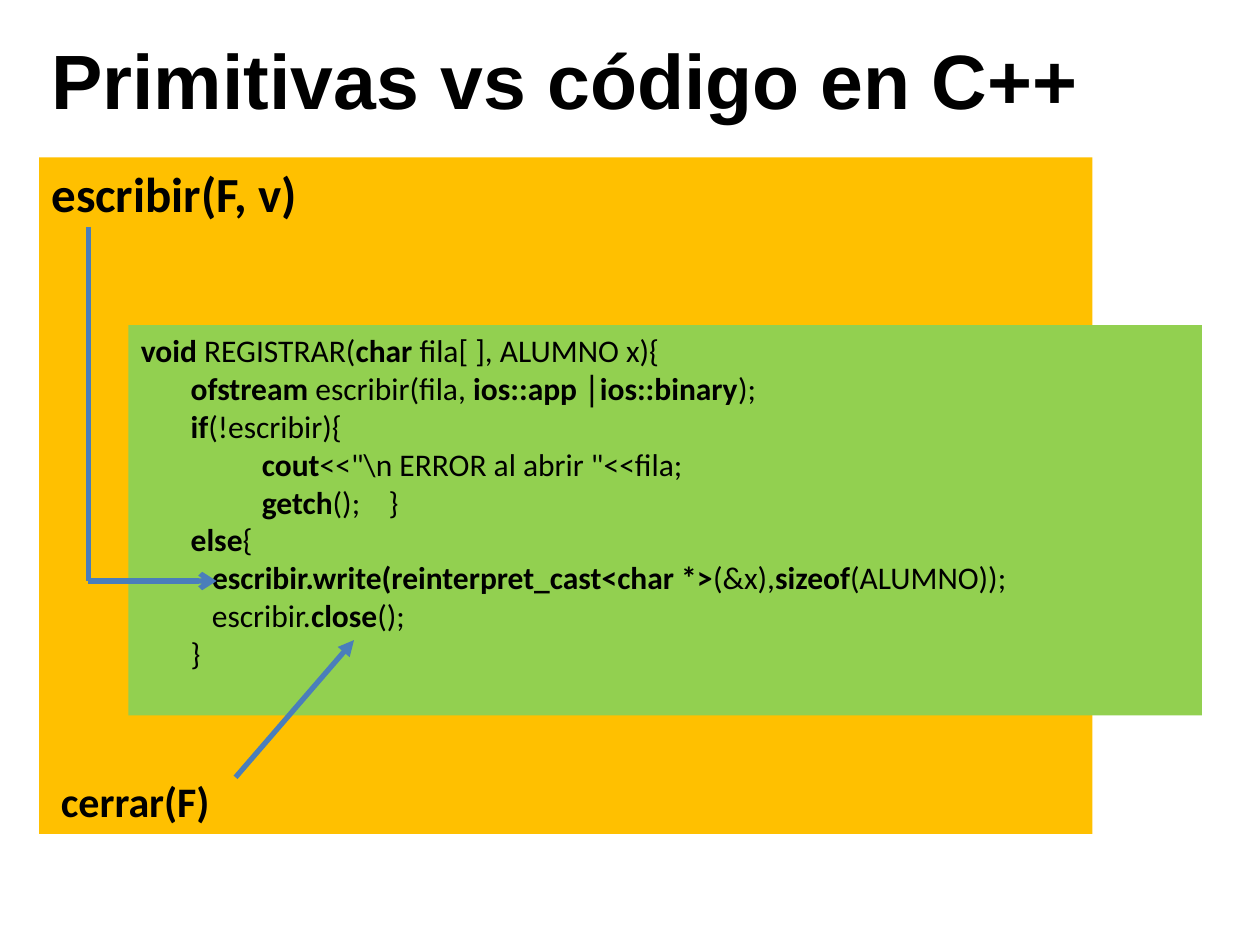
from dataclasses import dataclass

from lxml import etree
from pptx import Presentation
from pptx.dml.color import RGBColor
from pptx.enum.shapes import MSO_CONNECTOR, MSO_SHAPE
from pptx.enum.text import MSO_ANCHOR, PP_ALIGN
from pptx.oxml.ns import qn
from pptx.util import Pt

RECT = MSO_SHAPE.RECTANGLE
LINE = MSO_CONNECTOR.STRAIGHT
LEFT = PP_ALIGN.LEFT
TOP = MSO_ANCHOR.TOP
MIDDLE = MSO_ANCHOR.MIDDLE


@dataclass(frozen=True)
class Theme:
    """Colours, fonts and type sizes of the slide."""

    ink: str = "000000"
    amber: str = "FFC000"
    green: str = "92D050"
    blue: str = "4A7EBB"
    head: str = "Arial"
    body: str = "Calibri"
    title: int = 44
    call: int = 28
    close: int = 24
    code: int = 18
    stroke: int = 3


class Deck:
    """Draws styled elements on the current slide."""

    def __init__(self, theme, wide, high):
        """Open a deck with one blank slide."""
        self.theme = theme
        self.show = Presentation()
        self.show.slide_width, self.show.slide_height = Pt(wide), Pt(high)
        self.slide = self.show.slides.add_slide(self.show.slide_layouts[6])

    def frame(self, shape, anchor):
        """Set up wrapping and anchoring of a shape's text."""
        frame = shape.text_frame
        frame.word_wrap = True
        frame.vertical_anchor = anchor
        return frame

    def label(self, box):
        """Add a text box and return its frame."""
        shape = self.slide.shapes.add_textbox(*map(Pt, box))
        return self.frame(shape, MIDDLE)

    def panel(self, box, fill):
        """Add a filled rectangle and return its frame."""
        shape = self.slide.shapes.add_shape(RECT, *map(Pt, box))
        shape.shadow.inherit = False
        shape.fill.solid()
        shape.fill.fore_color.rgb = RGBColor.from_string(fill)
        shape.line.fill.background()
        return self.frame(shape, TOP)

    def say(self, frame, parts, size, font, gap=0, indent=0):
        """Add a paragraph whose parts alternate plain and bold."""
        para = frame.paragraphs[0]
        if para.runs:
            para = frame.add_paragraph()
        para.alignment = LEFT
        if gap:
            para.space_before = Pt(gap)
        if indent:
            para._p.get_or_add_pPr().set("marL", str(Pt(indent)))
        for spot, part in enumerate(parts):
            if part:
                run = para.add_run()
                run.text = part
                run.font.name = font
                run.font.size = Pt(size)
                run.font.bold = spot % 2 == 1
                run.font.color.rgb = RGBColor.from_string(self.theme.ink)

    def link(self, start, end, tip=None):
        """Add a straight line with an optional arrowhead."""
        line = self.slide.shapes.add_connector(LINE, *map(Pt, start + end))
        line.line.width = Pt(self.theme.stroke)
        line.line.color.rgb = RGBColor.from_string(self.theme.blue)
        if tip:
            etree.SubElement(line.line._get_or_add_ln(), qn("a:tailEnd"), type=tip)
        etree.SubElement(line._element.spPr, qn("a:effectLst"))

    def save(self):
        """Save the deck."""
        self.show.save("out.pptx")


STEP = " " * 7
BODY = " " * 10
DEEP = " " * 17
CODE = [
    ["", "void", " REGISTRAR(", "char", " fila[ ], ALUMNO x){"],
    [STEP, "ofstream", " escribir(fila, ", "ios::app │ios::binary", ");"],
    [STEP, "if", "(!escribir){"],
    [DEEP, "cout", '<<"\\n ERROR al abrir "<<fila;'],
    [DEEP, "getch", "();    }"],
    [STEP, "else", "{"],
    [BODY, "escribir.write(reinterpret_cast<char *>", "(&x),", "sizeof", "(ALUMNO));"],
    [BODY + "escribir.", "close", "();"],
    [STEP + "}"],
]


def main():
    """Build the slide."""
    theme = Theme()
    deck = Deck(theme, 720, 540)

    title = deck.label((22.3, 0, 648, 90))
    deck.say(title, ["", "Primitivas vs código en C++"], theme.title, theme.head)

    calls = deck.panel((22.3, 90, 602, 386.6), theme.amber)
    deck.say(calls, ["", "escribir(F, v)"], theme.call, theme.body)
    deck.say(calls, ["", "cerrar(F)"], theme.close, theme.body, 316, 5.4)

    code = deck.panel((73.4, 185.8, 613.4, 223), theme.green)
    for parts in CODE:
        deck.say(code, parts, theme.code, theme.body)

    bend = (50.4, 332)
    deck.link((134.6, 444.2), (202.3, 365.8), "triangle")
    deck.link((50.4, 129.6), bend)
    deck.link(bend, (123.8, 332), "arrow")
    deck.save()


if __name__ == "__main__":
    main()
